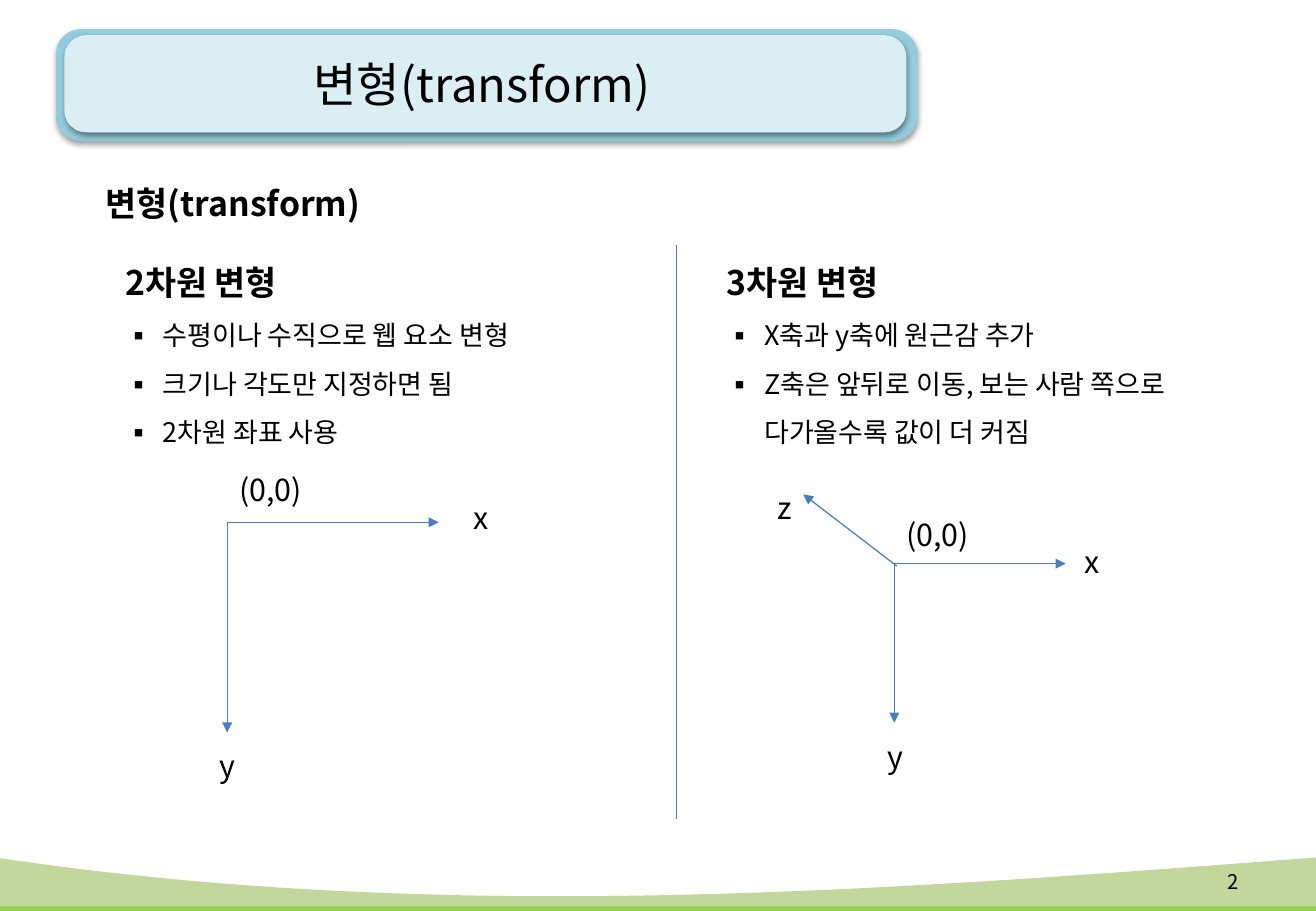
from dataclasses import dataclass

from lxml import etree
from pptx import Presentation
from pptx.dml.color import RGBColor
from pptx.enum import shapes, text
from pptx.oxml import ns
from pptx.util import Inches, Pt


@dataclass(frozen=True)
class Theme:
    font: str = "Noto Sans CJK KR"
    ink: str = "000000"
    line: str = "4B7EBC"
    strip: str = "92D050"
    wave: str = "C3D69B"
    frame: str = "93CDDD"
    panel: str = "DBEEF4"
    title: int = 28
    heading: int = 20
    label: int = 18
    bullet: int = 16
    number: int = 12


THEME = Theme()
ALIGN = text.PP_ALIGN
ANCHOR = text.MSO_ANCHOR


def style(para, size, bold=False, align=ALIGN.LEFT):
    para.alignment = align
    for span in para.runs:
        span.font.size = Pt(size)
        span.font.bold = bold
        span.font.color.rgb = RGBColor.from_string(THEME.ink)
        span.font.name = THEME.font
        # Korean letters take the East Asian typeface
        etree.SubElement(span.font._element, ns.qn("a:ea"), typeface=THEME.font)


def place(box, left, top, width, height):
    box.left, box.top = Inches(left), Inches(top)
    box.width, box.height = Inches(width), Inches(height)


deck = Presentation()
deck.slide_width, deck.slide_height = Inches(10.83), Inches(7.5)
page = deck.slides.add_slide(deck.slide_layouts.get_by_name("Two Content"))
title, *columns = page.placeholders

# Footer waves: a cubic curve on top, a flat edge below
STEPS = 60
for curve, bottom, color in (
    ((7.24, 7.6, 7.43, 7.24), 7.5, THEME.strip),
    ((7.06, 7.61, 7.34, 7.06), 7.46, THEME.wave),
):
    points = []
    for step in range(STEPS + 1):
        t = step / STEPS
        weights = ((1 - t) ** 3, 3 * t * (1 - t) ** 2, 3 * t**2 * (1 - t), t**3)
        points.append([
            Inches(sum(w * c for w, c in zip(weights, coords)))
            for coords in ((-0.04, 3.64, 7.19, 10.83), curve)
        ])
    points += [(Inches(10.83), Inches(bottom)), (Inches(-0.04), Inches(bottom))]
    builder = page.shapes.build_freeform(*points[0])
    builder.add_line_segments(points[1:], close=True)
    wave = builder.convert_to_shape()
    wave.shadow.inherit = False
    wave.fill.solid()
    wave.fill.fore_color.rgb = RGBColor.from_string(color)
    wave.line.fill.background()
    title.element.addprevious(wave.element)

# Title plate
for bounds, color in (
    ((0.46, 0.24, 7.09, 0.92), THEME.frame),
    ((0.53, 0.29, 6.93, 0.8), THEME.panel),
):
    plate = page.shapes.add_shape(
        shapes.MSO_SHAPE.ROUNDED_RECTANGLE, *map(Inches, bounds))
    plate.adjustments[0] = 0.225
    plate.fill.solid()
    plate.fill.fore_color.rgb = RGBColor.from_string(color)
    plate.line.fill.background()
    plate.shadow.inherit = False
    effects = plate.element.spPr.find(ns.qn("a:effectLst"))
    shadow = etree.SubElement(
        effects, ns.qn("a:outerShdw"), blurRad=str(Pt(3.1)), dist=str(Pt(1.6)),
        dir="5400000", algn="t", rotWithShape="0")
    shade = etree.SubElement(shadow, ns.qn("a:srgbClr"), val=THEME.ink)
    etree.SubElement(shade, ns.qn("a:alpha"), val="38000")
    title.element.addprevious(plate.element)

place(title, 0.46, 0.22, 7.01, 0.94)
title.text_frame.text = "변형(transform)"
title.text_frame.vertical_anchor = ANCHOR.MIDDLE
style(title.text_frame.paragraphs[0], THEME.title, align=ALIGN.CENTER)

# Two columns, each a heading over a list
for column, left, lines in zip(columns, (0.93, 5.88), (
    ("2차원 변형", "수평이나 수직으로 웹 요소 변형",
     "크기나 각도만 지정하면 됨", "2차원 좌표 사용"),
    ("3차원 변형", "X축과 y축에 원근감 추가",
     "Z축은 앞뒤로 이동, 보는 사람 쪽으로 다가올수록 값이 더 커짐"),
)):
    place(column, left, 1.94, 4.41, 1.87)
    column.text_frame.text = "\n".join(lines)
    column.text_frame.auto_size = text.MSO_AUTO_SIZE.NONE
    for index, para in enumerate(column.text_frame.paragraphs):
        indent = Inches(0.31) if index else 0
        props = para._p.get_or_add_pPr()
        props.set("marL", str(indent))
        props.set("indent", str(-indent))
        if index:
            etree.SubElement(props, ns.qn("a:buFont"), typeface=THEME.font)
            etree.SubElement(props, ns.qn("a:buChar"), char="▪")
        else:
            etree.SubElement(props, ns.qn("a:buNone"))
        para.line_spacing = 1.5
        para.space_before = Pt(0)
        style(para, THEME.bullet if index else THEME.heading, bold=index == 0)

# Column divider and axes
for start, end, arrow in (
    ((5.57, 2.02), (5.57, 6.74), False),
    ((1.87, 4.3), (1.87, 6.03), True),
    ((1.87, 4.3), (3.61, 4.3), True),
    ((7.36, 4.64), (7.36, 5.95), True),
    ((7.36, 4.64), (8.77, 4.64), True),
    ((7.38, 4.66), (6.61, 4.07), True),
):
    axis = page.shapes.add_connector(
        shapes.MSO_CONNECTOR.STRAIGHT, *map(Inches, start + end))
    axis.line.color.rgb = RGBColor.from_string(THEME.line)
    axis.line.width = Pt(0.75)
    if arrow:
        etree.SubElement(axis.line._ln, ns.qn("a:tailEnd"), type="triangle")
    etree.SubElement(axis.element.spPr, ns.qn("a:effectLst"))

# Axis labels
labels = [
    ("(0,0)", (1.87, 3.83, 0.87, 0.4), ALIGN.LEFT),
    ("x", (3.68, 4.06, 0.55, 0.4), ALIGN.CENTER),
    ("y", (1.6, 6.1, 0.55, 0.4), ALIGN.CENTER),
    ("(0,0)", (7.36, 4.2, 0.79, 0.37), ALIGN.LEFT),
    ("x", (8.73, 4.42, 0.51, 0.37), ALIGN.CENTER),
    ("z", (6.2, 3.98, 0.51, 0.37), ALIGN.CENTER),
    ("y", (7.11, 6.03, 0.51, 0.37), ALIGN.CENTER),
]
for label, bounds, align in labels:
    box = page.shapes.add_textbox(*map(Inches, bounds))
    box.text_frame.word_wrap = True
    box.text_frame.text = label
    style(box.text_frame.paragraphs[0], THEME.label, align=align)

section = page.shapes.add_textbox(*map(Inches, (0.77, 1.29, 2.52, 0.61)))
section.text_frame.word_wrap = True
section.text_frame.text = "변형(transform)"
section.text_frame.paragraphs[0].line_spacing = 1.5
style(section.text_frame.paragraphs[0], THEME.heading, bold=True)

number = page.shapes.add_textbox(*map(Inches, (9.68, 7.06, 0.61, 0.4)))
number.text_frame.word_wrap = True
number.text_frame.vertical_anchor = ANCHOR.MIDDLE
number.text_frame.text = "2"
style(number.text_frame.paragraphs[0], THEME.number, align=ALIGN.RIGHT)

deck.save("out.pptx")
